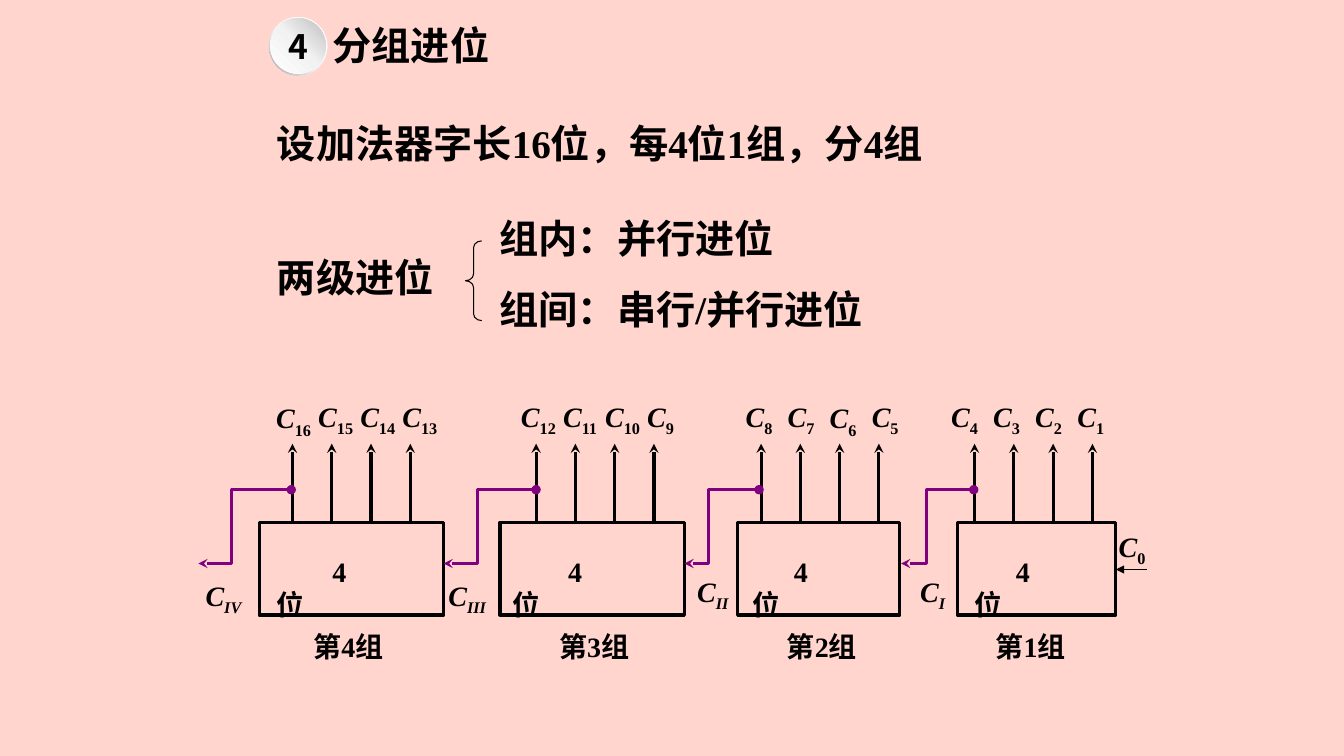
"""Build the slide on grouped carry in a 16-bit adder."""
import copy
from dataclasses import dataclass
from typing import Any

from lxml import etree
from pptx import Presentation, dml, util as u
from pptx.dml import color
from pptx.enum import shapes, text
from pptx.oxml import ns


@dataclass(frozen=True)
class Theme:
    latin: str = "Times New Roman"
    asian: str = "Noto Sans CJK SC"
    background: str = "FFD5CD"
    ink: str = "000000"
    carry: str = "800080"
    rim: tuple = ((0, "FFFFFF"), (0.55, "F2F2F2"), (1, "A6A6A6"))
    disc: tuple = ((0, "FFFFFF"), (0.51, "F2F2F2"), (1, "BFBFBF"))
    heading: float = 28
    badge: float = 24
    label: float = 20
    thick: float = 2.25
    thin: float = 0.75


@dataclass(frozen=True)
class Group:
    number: int
    left: float
    width: float
    text_left: float
    indent: float
    arrow: float
    label: float
    caption: float
    carry: str
    carry_at: tuple[float, float]
    carry_x: tuple[float, float, float]


THEME = Theme()
GROUPS = (
    Group(4, 6.53, 4.65, 6.73, 1.4, 7.37, 6.71, 7.65, "IV", (4.93, 14.45), (7.34, 5.84, 5)),
    Group(3, 12.6, 4.65, 12.67, 1.4, 13.51, 12.88, 13.84, "III", (11.05, 14.45), (13.51, 12.04, 11.18)),
    Group(2, 18.59, 4.09, 18.72, 1.04, 19.18, 18.54, 19.58, "II", (17.32, 14.35), (19.13, 17.86, 17.25)),
    Group(1, 24.13, 3.99, 24.31, 1.04, 24.56, 23.72, 24.84, "I", (22.94, 14.35), (24.54, 23.34, 22.71)),
)
LOWERED_LABELS = (16, 6)
ARROW_PITCH, LABEL_PITCH = 0.99, 1.06
BITS = 4


def apply(target: Any, values: dict[str, Any]) -> None:
    """Set every named attribute on the target."""
    for name, value in values.items():
        setattr(target, name, value)


def place(shape: Any, left: float, top: float, width: float, height: float) -> None:
    """Move and size a shape in centimetres."""
    sizes = dict(left=left, top=top, width=width, height=height)
    apply(shape, {name: u.Cm(value) for name, value in sizes.items()})


def write(para: Any, words: str, size: float, **extra: Any) -> Any:
    """Add one formatted span to a paragraph."""
    span = para.add_run()
    span.text = words
    apply(span.font, dict(name=THEME.latin, size=u.Pt(size), bold=True) | extra)
    span.font.color.rgb = color.RGBColor.from_string(THEME.ink)
    return span


def add_box(slide: Any, at: tuple[float, ...]) -> Any:
    """Add a wrapping text box and return its first paragraph."""
    box = slide.shapes.add_textbox(*map(u.Cm, at))
    box.text_frame.word_wrap = True
    return box.text_frame.paragraphs[0]


def add_signal(slide: Any, at: tuple[float, ...], index: str, italic: bool = False) -> None:
    """Add a carry symbol with its subscript."""
    para = add_box(slide, at)
    write(para, "C", THEME.label, italic=True)
    span = write(para, index, THEME.label, italic=italic)
    span.font._element.set("baseline", "-25000")


def stroke(shape: Any, tint: str, width: float, head: str = "", tail: str = "") -> None:
    """Draw an outline with optional arrowheads."""
    shape.line.color.rgb = color.RGBColor.from_string(tint)
    shape.line.width = u.Pt(width)
    outline = shape.element.spPr.find(ns.qn("a:ln"))
    for tag, kind in (("a:headEnd", head), ("a:tailEnd", tail)):
        if kind:
            etree.SubElement(outline, ns.qn(tag)).set("type", kind)


def add_line(slide: Any, ends: tuple[float, ...], width: float, **heads: str) -> None:
    """Add a straight arrow without a shadow."""
    line = slide.shapes.add_connector(shapes.MSO_CONNECTOR.STRAIGHT, *map(u.Cm, ends))
    stroke(line, THEME.ink, width, **heads)
    etree.SubElement(line.element.spPr, ns.qn("a:effectLst"))


def add_outline(slide: Any, kind: Any, at: tuple[float, ...], width: float) -> Any:
    """Add an unfilled preset shape."""
    shape = slide.shapes.add_shape(kind, *map(u.Cm, at))
    shape.shadow.inherit = False
    shape.fill.background()
    stroke(shape, THEME.ink, width)
    return shape


def add_shaded(slide: Any, kind: Any, at: tuple[float, ...], stops: tuple, angle: float) -> Any:
    """Add a borderless preset shape with a three-stop gradient."""
    shape = slide.shapes.add_shape(kind, *map(u.Cm, at))
    shape.shadow.inherit = False
    shape.line.fill.background()
    shape.fill.gradient()
    shape.fill.gradient_angle = angle
    stop_list = next(shape.element.iter(ns.qn("a:gsLst")))
    stop_list.insert(1, copy.deepcopy(stop_list[0]))
    for stop, (position, tint) in zip(shape.fill.gradient_stops, stops):
        stop.position = position
        stop.color.rgb = color.RGBColor.from_string(tint)
    return shape


def add_group(slide: Any, group: Group) -> None:
    """Draw one four-bit group with its outputs and its carry."""
    para = add_box(slide, (group.text_left, 13.84, group.indent + 1.14, 1.09))
    para._p.get_or_add_pPr().set("indent", str(u.Cm(group.indent)))
    write(para, "4位", THEME.label)
    add_outline(slide, shapes.MSO_SHAPE.RECTANGLE, (group.left, 13.16, group.width, 2.34), THEME.thick)
    for step in range(BITS):
        bit = group.number * BITS - step
        x = group.arrow + step * ARROW_PITCH
        add_line(slide, (x, 13.21, x, 11.18), THEME.thick, tail="stealth")
        top = 9.98 if bit in LOWERED_LABELS else 9.93
        add_signal(slide, (group.label + step * LABEL_PITCH, top, 1.78, 1.09), str(bit))
    start, bend, end = map(u.Cm, group.carry_x)
    high, low = u.Cm(12.34), u.Cm(14.2)
    builder = slide.shapes.build_freeform(start, high)
    builder.add_line_segments(((bend, high), (bend, low), (end, low)), close=False)
    carry = builder.convert_to_shape()
    carry.shadow.inherit = False
    carry.fill.background()
    stroke(carry, THEME.carry, THEME.thick, head="oval", tail="stealth")
    add_signal(slide, (*group.carry_at, 2.08, 1.32), group.carry, italic=True)
    write(add_box(slide, (group.caption, 15.75, 2.79, 1.09)), f"第{group.number}组", THEME.label)


def add_heading(slide: Any) -> None:
    """Fill the title, the two-level list and the number badge."""
    title, body = slide.shapes.title, slide.placeholders[1]
    place(title, 8.13, 0.41, 7.39, 1.35)
    place(body, 12.34, 5.28, 12.01, 3.43)
    for holder, lines in ((title, ("分组进位",)), (body, ("组内：并行进位", "组间：串行/并行进位"))):
        frame = holder.text_frame
        apply(frame, dict(auto_size=text.MSO_AUTO_SIZE.NONE, vertical_anchor=text.MSO_ANCHOR.TOP, word_wrap=True))
        for row, words in enumerate(lines):
            para = frame.add_paragraph() if row else frame.paragraphs[0]
            properties = para._p.get_or_add_pPr()
            apply(para, dict(alignment=text.PP_ALIGN.LEFT, space_before=u.Pt(17 if row else 0)))
            for name in ("marL", "indent"):
                properties.set(name, "0")
            etree.SubElement(properties, ns.qn("a:buNone"))
            write(para, words, THEME.heading)
    add_shaded(slide, shapes.MSO_SHAPE.DONUT, (6.78, 0.43, 1.47, 1.47), THEME.rim, 225).adjustments[0] = 0.05
    disc = add_shaded(slide, shapes.MSO_SHAPE.OVAL, (6.81, 0.46, 1.4, 1.4), THEME.disc, 45)
    disc.text_frame.vertical_anchor = text.MSO_ANCHOR.MIDDLE
    para = disc.text_frame.paragraphs[0]
    para.alignment = text.PP_ALIGN.CENTER
    write(para, "4", THEME.badge, name=THEME.asian)


def main() -> None:
    """Build and save the deck."""
    deck = Presentation()
    apply(deck, dict(slide_width=u.Cm(33.87), slide_height=u.Cm(19.05)))
    slide = deck.slides.add_slide(deck.slide_layouts[1])
    slide.background.fill.solid()
    slide.background.fill.fore_color.rgb = color.RGBColor.from_string(THEME.background)
    add_heading(slide)
    write(add_box(slide, (6.73, 2.87, 19.2, 1.45)), "设加法器字长16位，每4位1组，分4组", THEME.heading)
    write(add_box(slide, (6.73, 6.27, 5.99, 1.35)), "两级进位", THEME.heading)
    brace = add_outline(slide, shapes.MSO_SHAPE.LEFT_BRACE, (11.73, 6.07, 0.41, 2.01), THEME.thin)
    brace.adjustments[0] = 0.42
    for group in GROUPS:
        add_group(slide, group)
    add_signal(slide, (27.94, 13.23, 1.47, 1.32), "0")
    add_line(slide, (28.12, 14.35, 28.91, 14.35), THEME.thin, head="triangle")
    for properties in slide.element.iter(ns.qn("a:rPr")):
        etree.SubElement(properties, ns.qn("a:ea")).set("typeface", THEME.asian)
    deck.save("out.pptx")


if __name__ == "__main__":
    main()
